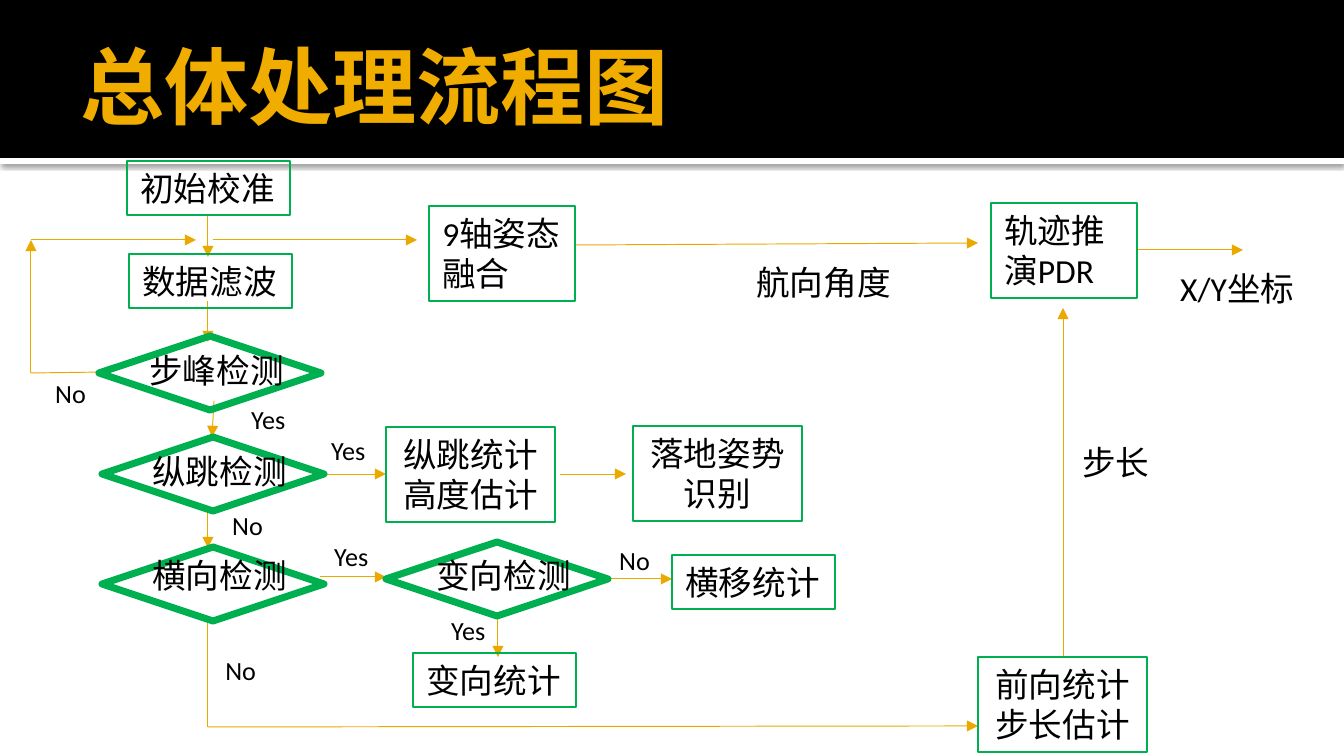
from dataclasses import dataclass

from lxml.etree import SubElement
from pptx import Presentation
from pptx.dml.color import RGBColor
from pptx.enum.shapes import MSO_CONNECTOR, MSO_SHAPE
from pptx.enum.text import MSO_ANCHOR, MSO_AUTO_SIZE, PP_ALIGN
from pptx.oxml.ns import qn
from pptx.util import Pt


@dataclass(frozen=True)
class Theme:
    font: str = "Calibri"
    title: str = "F0AD00"
    ink: str = "000000"
    paper: str = "FFFFFF"
    frame: str = "00B050"
    flow: str = "EBA900"
    title_size: int = 45
    step_size: int = 18
    answer_size: int = 14
    frame_width: float = 0.75
    decision_width: float = 3.78
    flow_width: float = 0.5


THEME = Theme()
EMU_PER_PX = 914400 / 134.4
SLIDE = (1344, 756)
HEADER_HEIGHT = 158
LINE_STEP = (163, 54)
SENSOR_STEP = (146, 95)
STATS_STEP = (169, 95)
DECISION = (222, 74)
DECISION_LABEL_INDENT = 37

TITLE = "总体处理流程图"

# text, left, top, size
STEPS = [
    ("初始校准", 127, 161, LINE_STEP),
    ("数据滤波", 129, 254, LINE_STEP),
    ("横移统计", 672, 555, LINE_STEP),
    ("变向统计", 413, 653, LINE_STEP),
    ("9轴姿态融合", 429, 206, SENSOR_STEP),
    ("轨迹推演PDR", 991, 203, SENSOR_STEP),
    ("纵跳统计高度估计", 386, 427, STATS_STEP),
    ("落地姿势识别", 633, 426, STATS_STEP),
    ("前向统计步长估计", 978, 657, STATS_STEP),
]

# text, left, top, drop of the label below the top
DECISIONS = [
    ("步峰检测", 99, 336, 7),
    ("纵跳检测", 102, 437, 7),
    ("横向检测", 102, 547, 1),
    ("变向检测", 386, 542, 6),
]

ANSWERS = {
    "Yes": [(238, 397), (318, 428), (321, 534), (438, 608)],
    "No": [(606, 538), (219, 503), (212, 648), (42, 371)],
}
ANSWER_SIZES = {"Yes": (65, 45), "No": (59, 45)}

# text, left, top, width, wraps
QUANTITIES = [
    ("航向角度", 743, 255, 163, False),
    ("步长", 1069, 435, 95, False),
    ("X/Y坐标", 1167, 261, 144, True),
]

# Corner points of each flow; the last leg carries the arrowhead
FLOWS = [
    [(208, 216), (208, 257)],
    [(208, 301), (208, 342)],
    [(214, 401), (212, 437)],
    [(213, 240), (417, 240)],
    [(320, 474), (386, 474)],
    [(208, 507), (208, 548)],
    [(320, 577), (386, 577)],
    [(498, 616), (498, 657)],
    [(606, 579), (672, 579)],
    [(208, 621), (208, 727), (978, 726)],
    [(575, 245), (978, 243)],
    [(1063, 657), (1063, 308)],
    [(1137, 250), (1243, 250)],
    [(560, 474), (626, 474)],
    [(108, 372), (31, 373), (31, 240)],
    [(31, 240), (196, 240)],
]


def px(*lengths):
    return [round(length * EMU_PER_PX) for length in lengths]


def color(name):
    return RGBColor.from_string(name)


def write(paragraph, text, size, ink=THEME.ink, bold=False):
    run = paragraph.add_run()
    run.text = text
    run.font.name = THEME.font
    run.font.size = Pt(size)
    run.font.bold = bold
    run.font.color.rgb = color(ink)


def add_text(slide, text, box, size=THEME.step_size, wrap=False, align=PP_ALIGN.LEFT):
    holder = slide.shapes.add_textbox(*px(*box))
    frame = holder.text_frame
    frame.word_wrap = wrap
    frame.auto_size = MSO_AUTO_SIZE.SHAPE_TO_FIT_TEXT
    frame.paragraphs[0].alignment = align
    write(frame.paragraphs[0], text, size)
    return holder


def add_step(slide, text, left, top, size):
    step = add_text(slide, text, (left, top, *size), wrap=size != LINE_STEP,
                    align=PP_ALIGN.CENTER if size == STATS_STEP else PP_ALIGN.LEFT)
    step.line.color.rgb = color(THEME.frame)
    step.line.width = Pt(THEME.frame_width)


def add_decision(slide, text, left, top, drop):
    diamond = slide.shapes.add_shape(MSO_SHAPE.DIAMOND, *px(left, top, *DECISION))
    diamond.shadow.inherit = False
    diamond.fill.background()
    diamond.line.color.rgb = color(THEME.frame)
    diamond.line.width = Pt(THEME.decision_width)
    SubElement(diamond.line._get_or_add_ln(), qn("a:round"))
    add_text(slide, text, (left + DECISION_LABEL_INDENT, top + drop, *LINE_STEP))


def add_flow(slide, corners):
    legs = list(zip(corners, corners[1:]))
    for start, end in legs:
        leg = slide.shapes.add_connector(MSO_CONNECTOR.STRAIGHT, *px(*start, *end))
        leg.line.color.rgb = color(THEME.flow)
        leg.line.width = Pt(THEME.flow_width)
        SubElement(leg._element.spPr, qn("a:effectLst"))
    SubElement(leg.line._get_or_add_ln(), qn("a:tailEnd"), type="triangle")


def add_band(slide, top, height, fill):
    band = slide.shapes.add_shape(MSO_SHAPE.RECTANGLE, *px(0, top, SLIDE[0], height))
    band.shadow.inherit = False
    band.fill.solid()
    band.fill.fore_color.rgb = color(fill)
    band.line.fill.background()
    return band


def add_header(slide):
    rule = add_band(slide, HEADER_HEIGHT, 6, THEME.paper)
    effects = rule._element.spPr.find(qn("a:effectLst"))
    shadow = SubElement(effects, qn("a:outerShdw"), blurRad=str(Pt(2.5)),
                        dist=str(Pt(0.8)), dir="5400000", rotWithShape="0")
    tint = SubElement(shadow, qn("a:srgbClr"), val=THEME.ink)
    SubElement(tint, qn("a:alpha"), val="60000")
    add_band(slide, 0, HEADER_HEIGHT, THEME.ink)

    title = slide.shapes.title
    slide.shapes._spTree.append(title._element)  # bring in front of the bands
    title.left, title.top, title.width, title.height = px(67, 16, 1210, 138)
    frame = title.text_frame
    frame.vertical_anchor = MSO_ANCHOR.MIDDLE
    frame.margin_left, frame.margin_top, frame.margin_right, frame.margin_bottom = (
        Pt(7.2), Pt(3.6), Pt(3.6), Pt(3.6))
    frame.paragraphs[0].alignment = PP_ALIGN.LEFT
    write(frame.paragraphs[0], TITLE, THEME.title_size, THEME.title, bold=True)


def main():
    deck = Presentation()
    deck.slide_width, deck.slide_height = px(*SLIDE)
    slide = deck.slides.add_slide(deck.slide_layouts[5])
    add_header(slide)
    for corners in FLOWS:
        add_flow(slide, corners)
    for step in STEPS:
        add_step(slide, *step)
    for decision in DECISIONS:
        add_decision(slide, *decision)
    for answer, places in ANSWERS.items():
        for place in places:
            add_text(slide, answer, (*place, *ANSWER_SIZES[answer]), THEME.answer_size)
    for text, left, top, width, wraps in QUANTITIES:
        add_text(slide, text, (left, top, width, LINE_STEP[1]), wrap=wraps)
    deck.save("out.pptx")


if __name__ == "__main__":
    main()
